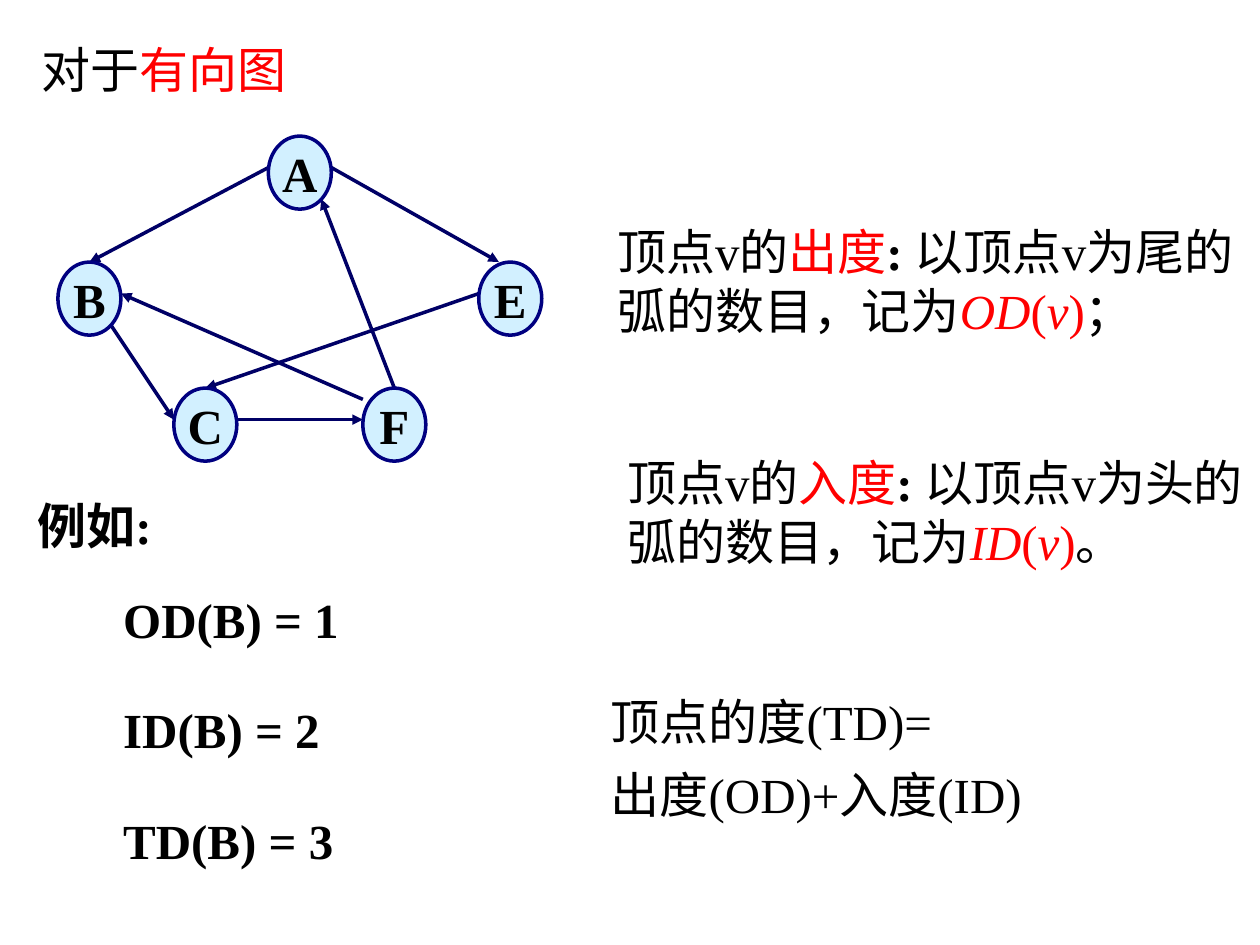
from dataclasses import dataclass
from typing import NamedTuple

from lxml.etree import SubElement
from pptx import Presentation
from pptx.dml.color import RGBColor
from pptx.enum.shapes import MSO_CONNECTOR as Connector, MSO_SHAPE as Shape
from pptx.enum.text import MSO_ANCHOR as Anchor, MSO_AUTO_SIZE as AutoSize, PP_ALIGN as Align
from pptx.oxml.ns import qn
from pptx.util import Inches, Pt


@dataclass(frozen=True)
class Theme:
    """Colours, font and sizes shared by the whole page."""
    font: str = "Times New Roman"
    size: int = 28
    ink: str = "000000"
    accent: str = "FF0000"
    arc: str = "000066"
    outline: str = "000080"
    vertex: str = "A7E2FF"
    vertex_alpha: int = 50
    line_width: int = 2


class Span(NamedTuple):
    """A stretch of text in one style."""
    text: str
    accent: bool = False
    bold: bool = False
    italic: bool = False


class Vertex(NamedTuple):
    """A labelled graph vertex, placed by its top-left corner."""
    label: str
    left: float
    top: float


class Arc(NamedTuple):
    """A directed arc from tail to head."""
    start: tuple[float, float]
    end: tuple[float, float]


class Note(NamedTuple):
    """A text block and the box that holds it."""
    box: tuple[float, float, float, float]
    paras: list[list[Span]]
    side_inset: float = 0.1
    line_spacing: float = 1.0
    wrap: bool = True


THEME = Theme()
VERTEX_SIZE = (0.5, 0.58)

VERTICES = [
    Vertex("A", 2.13, 1.08),
    Vertex("B", 0.46, 2.08),
    Vertex("E", 3.8, 2.08),
    Vertex("C", 1.38, 3.08),
    Vertex("F", 2.88, 3.08),
]

ARCS = [
    Arc((2.13, 1.33), (0.71, 2.08)),
    Arc((0.88, 2.58), (1.38, 3.33)),
    Arc((1.88, 3.33), (2.88, 3.33)),
    Arc((3.13, 3.08), (2.55, 1.58)),
    Arc((2.63, 1.33), (3.96, 2.08)),
    Arc((2.88, 3.17), (0.96, 2.33)),
    Arc((3.8, 2.33), (1.63, 3.08)),
]

TITLE = Note((0.23, 0.15, 5.21, 0.69), [[Span("对于"), Span("有向图", accent=True)]], line_spacing=1.25)


def definition(term: str, arc_end: str, symbol: str, stop: str) -> list[Span]:
    """Return the spans that define one kind of degree."""
    return [
        Span("顶点v的"), Span(term, accent=True), Span(": ", bold=True),
        Span(f"以顶点v为{arc_end}的弧的数目，记为"),
        Span(symbol, accent=True, italic=True), Span("(", accent=True),
        Span("v", accent=True, italic=True), Span(")", accent=True), Span(stop),
    ]


NOTES = [
    Note((4.88, 1.71, 4.93, 1.04), [definition("出度", "尾", "OD", "；")], side_inset=0.02),
    Note((4.88, 3.54, 5.1, 1.04), [definition("入度", "头", "ID", "。")]),
    Note((4.75, 5.32, 3.74, 1.27), [[Span("顶点的度(TD)=")], [Span("出度(OD)+入度(ID)")]],
         line_spacing=1.25, wrap=False),
    Note((0.2, 3.88, 1.46, 0.57), [[Span("例如:", bold=True)]]),
] + [
    Note((0.88, 4.63 + 0.875 * row, 2.5, 0.57), [[Span(text, bold=True)]])
    for row, text in enumerate(["OD(B) = 1", "ID(B) = 2", "TD(B) = 3"])
]


def write(frame, note: Note, align=Align.LEFT) -> None:
    """Fill a text frame with the styled paragraphs of a note."""
    frame.word_wrap = note.wrap
    frame.margin_left = frame.margin_right = Inches(note.side_inset)
    frame.margin_top = frame.margin_bottom = Inches(0.05)
    frame.text = "\n".join("" for _ in note.paras)
    for para, spans in zip(frame.paragraphs, note.paras):
        para.alignment = align
        para.line_spacing = note.line_spacing
        para.space_before = Pt(0)
        for span in spans:
            run = para.add_run()
            run.text = span.text
            run.font.name = THEME.font
            run.font.size = Pt(THEME.size)
            run.font.bold = span.bold
            run.font.italic = span.italic
            run.font.color.rgb = RGBColor.from_string(THEME.accent if span.accent else THEME.ink)


def draw_title(page, note: Note) -> None:
    """Move the title placeholder into place and fill it."""
    title = page.shapes.title
    title.left, title.top, title.width, title.height = map(Inches, note.box)
    title.text_frame.auto_size = AutoSize.NONE
    title.text_frame.vertical_anchor = Anchor.TOP
    write(title.text_frame, note)


def draw_note(page, note: Note) -> None:
    """Add a text box for a note."""
    box = page.shapes.add_textbox(*map(Inches, note.box))
    write(box.text_frame, note)


def draw_arc(page, arc: Arc) -> None:
    """Add an arrow for an arc."""
    line = page.shapes.add_connector(Connector.STRAIGHT, *map(Inches, arc.start + arc.end))
    line.line.color.rgb = RGBColor.from_string(THEME.arc)
    line.line.width = Pt(THEME.line_width)
    properties = line.element.spPr
    SubElement(properties.find(qn("a:ln")), qn("a:tailEnd"), type="triangle")
    SubElement(properties, qn("a:effectLst"))


def draw_vertex(page, vertex: Vertex) -> None:
    """Add a translucent labelled ellipse for a vertex."""
    place = map(Inches, (vertex.left, vertex.top, *VERTEX_SIZE))
    oval = page.shapes.add_shape(Shape.OVAL, *place)
    oval.shadow.inherit = False
    oval.fill.solid()
    oval.fill.fore_color.rgb = RGBColor.from_string(THEME.vertex)
    colour = oval.element.spPr.find(qn("a:solidFill")).find(qn("a:srgbClr"))
    SubElement(colour, qn("a:alpha"), val=str(THEME.vertex_alpha * 1000))
    oval.line.color.rgb = RGBColor.from_string(THEME.outline)
    oval.line.width = Pt(THEME.line_width)
    oval.text_frame.vertical_anchor = Anchor.MIDDLE
    label = Note((vertex.left, vertex.top, *VERTEX_SIZE), [[Span(vertex.label, bold=True)]], wrap=False)
    write(oval.text_frame, label, Align.CENTER)


def main() -> None:
    """Build the page and save the deck."""
    deck = Presentation()
    deck.slide_width, deck.slide_height = Inches(10), Inches(7.5)
    page = deck.slides.add_slide(deck.slide_layouts.get_by_name("Title Only"))
    draw_title(page, TITLE)
    for arc in ARCS:
        draw_arc(page, arc)
    for vertex in VERTICES:
        draw_vertex(page, vertex)
    for note in NOTES:
        draw_note(page, note)
    deck.save("out.pptx")


if __name__ == "__main__":
    main()
